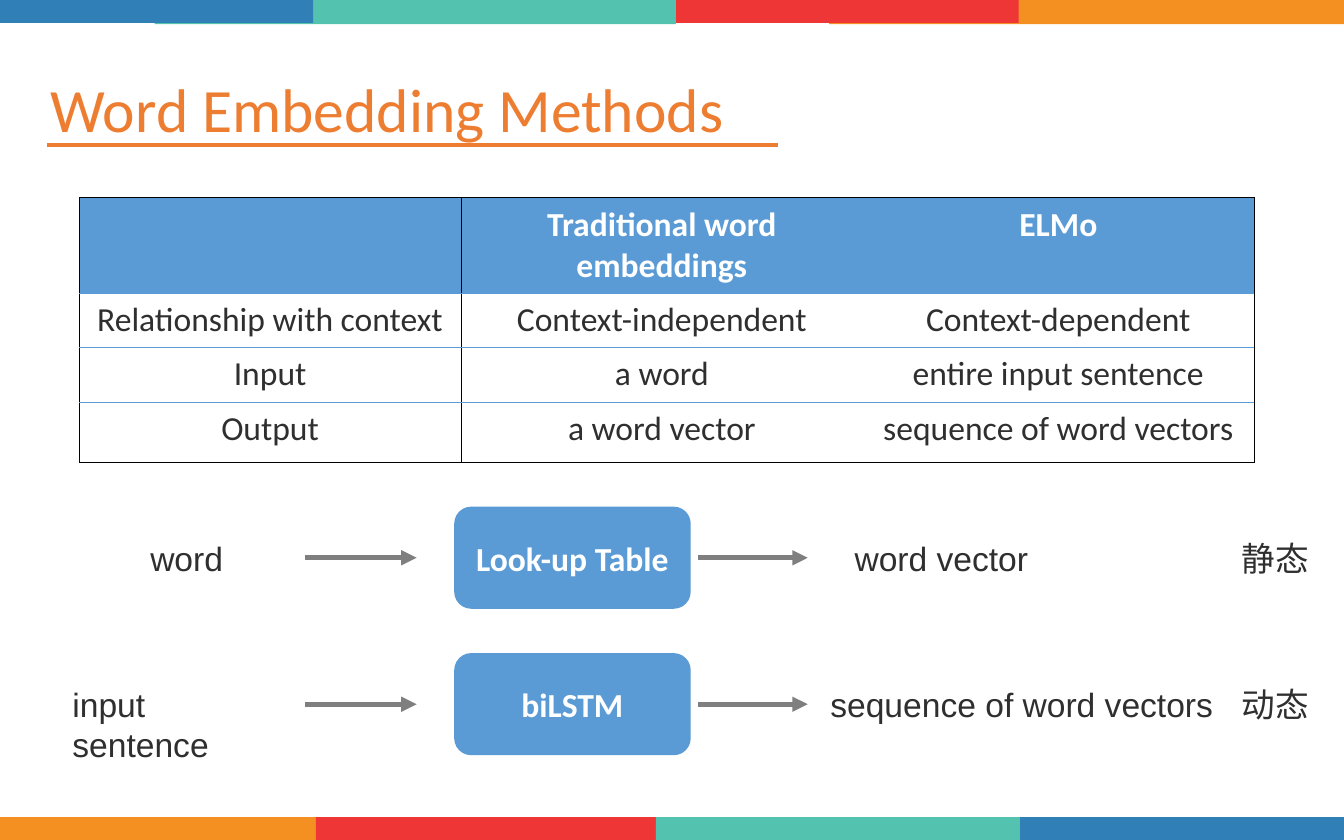
"""Build the Word Embedding Methods slide."""
from lxml.etree import SubElement
from pptx import Presentation
from pptx.dml.color import RGBColor
from pptx.enum.shapes import MSO_CONNECTOR, MSO_SHAPE
from pptx.enum.text import MSO_ANCHOR, PP_ALIGN
from pptx.oxml import parse_xml
from pptx.oxml.ns import nsdecls, qn
from pptx.util import Inches, Pt

COLORS = {
    "orange": "F49022", "red": "EE3636", "teal": "53C3B0", "navy": "317FB7",
    "title": "ED7D31", "blue": "5B9BD5", "text": "2F2F2F", "gray": "7F7F7F",
    "white": "FFFFFF", "black": "000000",
}


def set_text(tf, text, color, font="Calibri", size=18, bold=False, align=PP_ALIGN.CENTER):
    tf.text = text
    p = tf.paragraphs[0]
    p.alignment = align
    for r in p.runs:
        r.font.name = font
        r.font.size = Pt(size)
        r.font.bold = bold
        r.font.color.rgb = RGBColor.from_string(COLORS[color])


def add_line(x1, x2, y, color, width, arrow=False):
    line = s.shapes.add_connector(
        MSO_CONNECTOR.STRAIGHT, Inches(x1), Inches(y), Inches(x2), Inches(y))
    line.line.color.rgb = RGBColor.from_string(COLORS[color])
    line.line.width = Pt(width)
    if arrow:
        SubElement(line.line._get_or_add_ln(), qn("a:tailEnd"), type="triangle")
    SubElement(line._element.spPr, qn("a:effectLst"))


prs = Presentation()
prs.slide_width, prs.slide_height = Inches(10), Inches(6.25)
s = prs.slides.add_slide(prs.slide_layouts[6])

bars = [
    (-0.02, 6.08, 3.89, "orange"), (2.35, 6.08, 3.96, "red"),
    (4.88, 6.08, 3.89, "teal"), (7.59, 6.08, 2.41, "navy"),
    (6.17, -0.02, 3.86, "orange"), (3.64, -0.03, 3.94, "red"),
    (1.15, -0.02, 3.88, "teal"), (-0.02, -0.03, 2.35, "navy"),
]
for x, y, w, color in bars:
    sp = s.shapes.add_shape(MSO_SHAPE.RECTANGLE, Inches(x), Inches(y), Inches(w), Inches(0.2))
    sp.shadow.inherit = False
    sp.fill.solid()
    sp.fill.fore_color.rgb = RGBColor.from_string(COLORS[color])
    sp.line.fill.background()

add_line(0.35, 5.79, 1.08, "title", 2.25)
title = s.shapes.add_textbox(Inches(0.28), Inches(0.47), Inches(8.63), Inches(0.74))
tf = title.text_frame
tf.word_wrap = True
tf.vertical_anchor = MSO_ANCHOR.MIDDLE
set_text(tf, "Word Embedding Methods", "title", size=33, align=PP_ALIGN.LEFT)
tf.paragraphs[0].line_spacing = 0.9

rows = [
    ("", "Traditional word embeddings", "ELMo"),
    ("Relationship with context", "Context-independent", "Context-dependent"),
    ("Input", "a word", "entire input sentence"),
    ("Output", "a word vector", "sequence of word vectors"),
]
widths = [2.84, 2.99, 2.91]
heights = [0.71, 0.4, 0.41, 0.45]
table = s.shapes.add_table(len(rows), len(widths), Inches(0.59), Inches(1.47),
                           Inches(sum(widths)), Inches(sum(heights))).table
table.first_row = table.horz_banding = False
for column, w in zip(table.columns, widths):
    column.width = Inches(w)
for i, (row, h) in enumerate(zip(rows, heights)):
    table.rows[i].height = Inches(h)
    for j, text in enumerate(row):
        cell = table.cell(i, j)
        set_text(cell.text_frame, text, "text" if i else "white", bold=i == 0)
        if i:
            cell.fill.background()
        else:
            cell.fill.solid()
            cell.fill.fore_color.rgb = RGBColor.from_string(COLORS["blue"])
        edges = {
            "L": "black" if j < 2 else None,
            "R": "black" if j != 1 else None,
            "T": "blue" if i else "black",
            "B": "blue" if i < len(rows) - 1 else "black",
        }
        tcPr = cell._tc.get_or_add_tcPr()
        for k, (side, color) in enumerate(edges.items()):
            width = Pt(0.23 if color == "blue" else 0.45)
            fill = "<a:noFill/>"
            if color:
                fill = f'<a:solidFill><a:srgbClr val="{COLORS[color]}"/></a:solidFill>'
            tcPr.insert(k, parse_xml(
                f'<a:ln{side} {nsdecls("a")} w="{width}">{fill}</a:ln{side}>'))

flows = [
    (4.15, "Look-up Table",
     [("word", 1.02, 0.74), ("word vector", 6.26, 1.49), ("静态", 9.14, 0.7)]),
    (5.24, "biLSTM",
     [("input sentence", 0.44, 1.82), ("sequence of word vectors", 6.08, 3.05),
      ("动态", 9.14, 0.7)]),
]
for y, model, labels in flows:
    add_line(2.27, 3.1, y, "gray", 2.75, arrow=True)
    sp = s.shapes.add_shape(MSO_SHAPE.ROUNDED_RECTANGLE, Inches(3.38), Inches(y - 0.38),
                            Inches(1.76), Inches(0.76))
    sp.shadow.inherit = False
    sp.fill.solid()
    sp.fill.fore_color.rgb = RGBColor.from_string(COLORS["blue"])
    sp.line.fill.background()
    set_text(sp.text_frame, model, "white", bold=True)
    add_line(5.19, 6.01, y, "gray", 2.75, arrow=True)
    for text, x, w in labels:
        box = s.shapes.add_textbox(Inches(x), Inches(y - 0.2), Inches(w), Inches(0.4))
        box.text_frame.word_wrap = False
        set_text(box.text_frame, text, "text", font="Arial", align=PP_ALIGN.LEFT)

prs.save("out.pptx")
